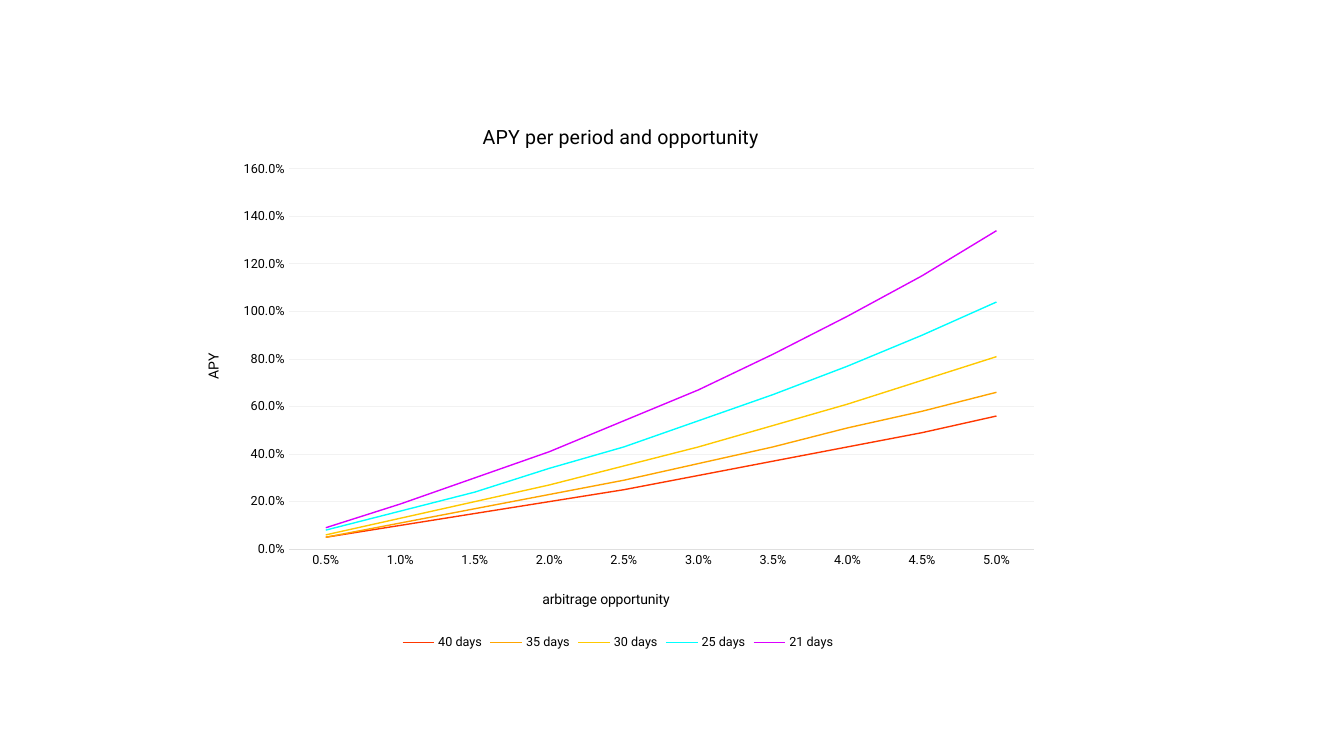
from dataclasses import dataclass

from lxml import etree
from pptx import Presentation
from pptx.chart.data import CategoryChartData
from pptx.dml.color import RGBColor
from pptx.enum.chart import XL_CHART_TYPE, XL_LEGEND_POSITION, XL_TICK_MARK
from pptx.oxml.ns import qn
from pptx.util import Cm, Pt

LINE_CHART = XL_CHART_TYPE.LINE
LEGEND_BOTTOM = XL_LEGEND_POSITION.BOTTOM
NO_TICK = XL_TICK_MARK.NONE

FONT = "Roboto"
PERCENT = "0.0%"
BLANK_LAYOUT = 6
COLORS = {
    "background": "FFFFFF",
    "text": "000000",
    "axis": "DFDFDF",
    "grid": "F2F2F2",
    "red": "FF3800",
    "orange": "FFA500",
    "yellow": "FFC900",
    "cyan": "00FFFF",
    "violet": "DB00FF",
}


@dataclass(frozen=True)
class Period:
    days: int
    color: str

    def apy(self, opportunity: float) -> float:
        """Yearly yield when the opportunity is compounded every period."""
        return round((1 + opportunity) ** (365 / self.days) - 1, 2)


@dataclass(frozen=True)
class Heading:
    text: str
    size: int
    left: float
    top: float


PERIODS = [
    Period(40, "red"),
    Period(35, "orange"),
    Period(30, "yellow"),
    Period(25, "cyan"),
    Period(21, "violet"),
]
OPPORTUNITIES = [step / 200 for step in range(1, 11)]

CHART_HEADING = Heading("APY per period and opportunity", 14, 0.34, 0.03)
CATEGORY_HEADING = Heading("arbitrage opportunity", 10, 0.41, 0.88)
VALUE_HEADING = Heading("APY", 10, 0.02, 0.45)
PLOT_FRAME = {"x": 0.12, "y": 0.12, "w": 0.86, "h": 0.69}


def rgb(name: str) -> RGBColor:
    return RGBColor.from_string(COLORS[name])


def format_font(font, size: int) -> None:
    font.name = FONT
    font.size = Pt(size)
    font.bold = False
    font.color.rgb = rgb("text")


def format_line(line, color: str, width: float) -> None:
    line.color.rgb = rgb(color)
    line.width = Pt(width)


def set_layout(element, index: int, settings: dict) -> None:
    """Place a chart part by hand, in fractions of the chart's size."""
    for old_layout in element.findall(qn("c:layout")):
        element.remove(old_layout)
    layout = etree.Element(qn("c:layout"))
    manual = etree.SubElement(layout, qn("c:manualLayout"))
    for name, value in settings.items():
        etree.SubElement(manual, qn(f"c:{name}")).set("val", str(value))
    element.insert(index, layout)


def write_heading(title, heading: Heading) -> None:
    title.text_frame.text = heading.text
    format_font(title.text_frame.paragraphs[0].runs[0].font, heading.size)
    position = {"xMode": "edge", "yMode": "edge", "x": heading.left, "y": heading.top}
    set_layout(title.element, 1, position)


def format_axis(axis, heading: Heading) -> None:
    write_heading(axis.axis_title, heading)
    axis.major_tick_mark = NO_TICK
    axis.minor_tick_mark = NO_TICK
    axis.tick_labels.number_format = PERCENT
    axis.tick_labels.number_format_is_linked = False
    format_font(axis.tick_labels.font, 9)


def format_axes(chart) -> None:
    category_axis = chart.category_axis
    format_axis(category_axis, CATEGORY_HEADING)
    category_axis.has_major_gridlines = False
    format_line(category_axis.format.line, "axis", 0.75)

    value_axis = chart.value_axis
    format_axis(value_axis, VALUE_HEADING)
    body = value_axis.axis_title.element.find(".//" + qn("a:bodyPr"))
    body.set("rot", "-5400000")
    body.set("vert", "horz")
    value_axis.minimum_scale = 0
    value_axis.maximum_scale = 1.6
    value_axis.major_unit = 0.2
    value_axis.format.line.fill.background()
    value_axis.has_major_gridlines = True
    format_line(value_axis.major_gridlines.format.line, "grid", 0.75)


def add_apy_chart(slide) -> None:
    chart_data = CategoryChartData(number_format=PERCENT)
    chart_data.categories = OPPORTUNITIES
    chart_data.categories.number_format = PERCENT
    for period in PERIODS:
        values = [period.apy(opportunity) for opportunity in OPPORTUNITIES]
        chart_data.add_series(f"{period.days} days", values)

    chart = slide.shapes.add_chart(
        LINE_CHART, Cm(4.65), Cm(2.59), Cm(21.84), Cm(13.89), chart_data
    ).chart
    format_font(chart.font, 10)
    chart.has_title = True
    write_heading(chart.chart_title, CHART_HEADING)
    format_axes(chart)

    chart.has_legend = True
    chart.legend.position = LEGEND_BOTTOM
    chart.legend.include_in_layout = False
    format_font(chart.legend.font, 9)

    plot = chart.plots[0]
    plot.vary_by_categories = False
    for series, period in zip(plot.series, PERIODS):
        series.smooth = False
        format_line(series.format.line, period.color, 1)

    plot_area = chart.element.find(".//" + qn("c:plotArea"))
    frame = {"layoutTarget": "inner", "xMode": "edge", "yMode": "edge", **PLOT_FRAME}
    set_layout(plot_area, 0, frame)


def main() -> None:
    presentation = Presentation()
    presentation.slide_width = Cm(33.87)
    presentation.slide_height = Cm(19.05)
    slide = presentation.slides.add_slide(presentation.slide_layouts[BLANK_LAYOUT])
    slide.background.fill.solid()
    slide.background.fill.fore_color.rgb = rgb("background")
    add_apy_chart(slide)
    presentation.save("out.pptx")


if __name__ == "__main__":
    main()
